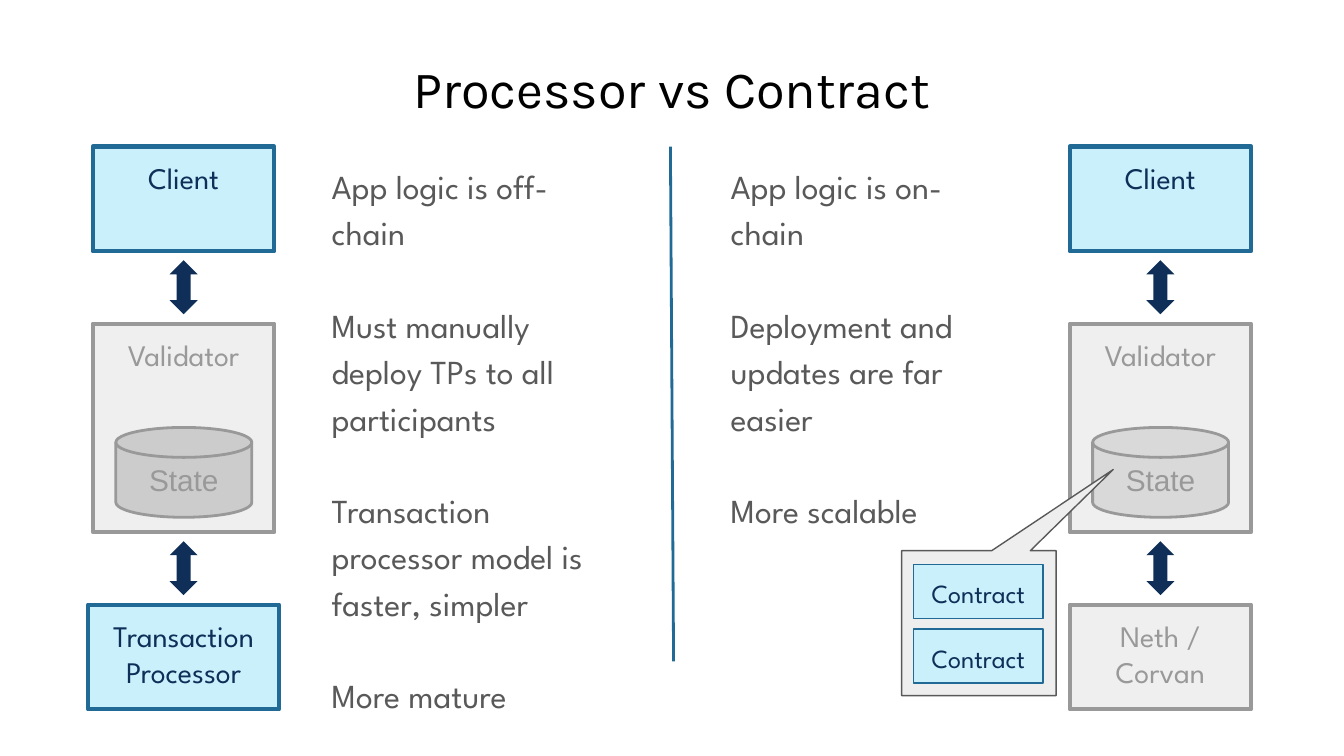
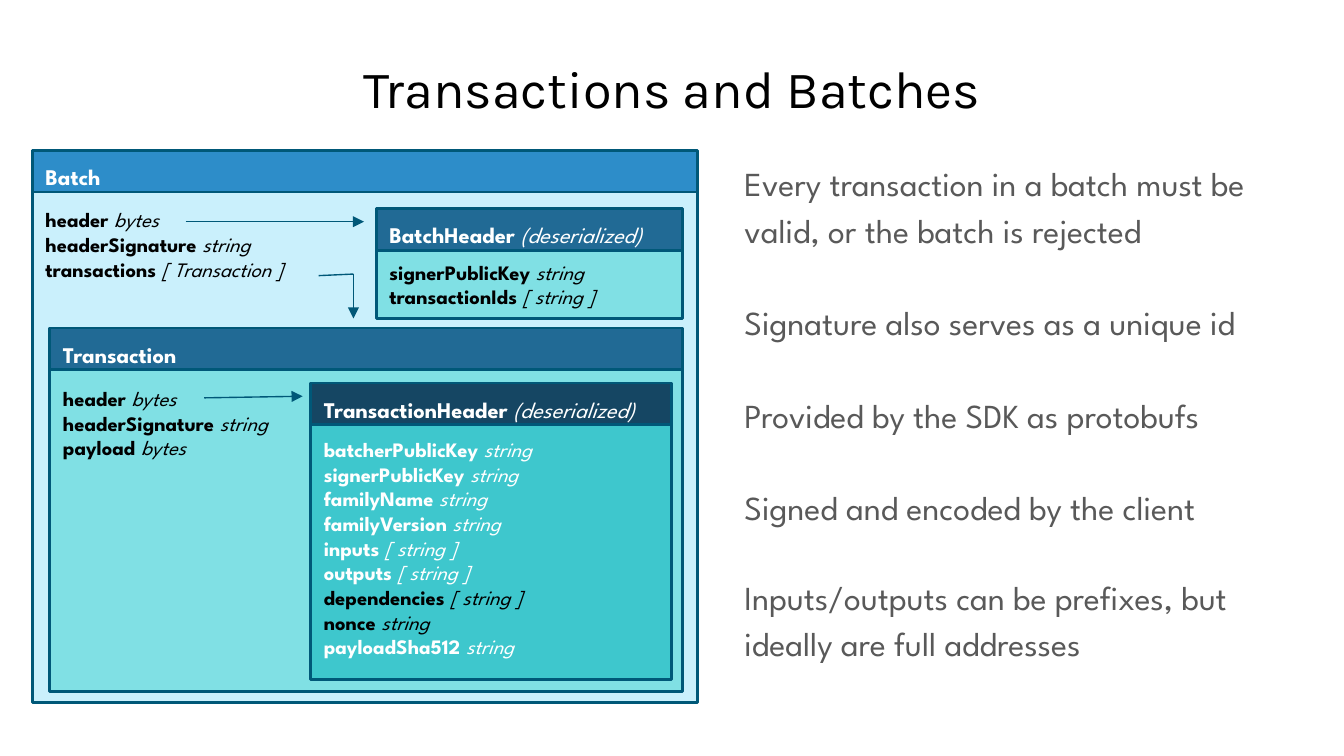
from lxml.etree import SubElement
from pptx import Presentation
from pptx.dml.color import RGBColor
from pptx.enum.shapes import MSO_CONNECTOR as Connector, MSO_SHAPE as Preset
from pptx.enum.text import MSO_ANCHOR as Anchor, PP_ALIGN as Align
from pptx.oxml.ns import qn
from pptx.util import Cm, Pt

BLACK = RGBColor(0x00, 0x00, 0x00)
WHITE = RGBColor(0xFF, 0xFF, 0xFF)
NAVY = RGBColor(0x0F, 0x2F, 0x58)
DEEP_BLUE = RGBColor(0x15, 0x46, 0x63)
STEEL = RGBColor(0x21, 0x6A, 0x95)
BRIGHT_BLUE = RGBColor(0x2D, 0x8D, 0xC9)
TEAL_LINE = RGBColor(0x00, 0x58, 0x78)
TEAL = RGBColor(0x3E, 0xC7, 0xCD)
AQUA = RGBColor(0x80, 0xE0, 0xE4)
ICE = RGBColor(0xCA, 0xF0, 0xFC)
BODY_GRAY = RGBColor(0x59, 0x59, 0x59)
EDGE_GRAY = RGBColor(0x99, 0x99, 0x99)
PALE_GRAY = RGBColor(0xEF, 0xEF, 0xEF)
CALLOUT_GRAY = RGBColor(0xEE, 0xEE, 0xEE)

TITLE_FONT = "Karla"
BODY_FONT = "League Spartan"
STATE_FONT = "Arial"

ACTIVE = dict(fill=ICE, edge=STEEL)
PASSIVE = dict(fill=PALE_GRAY, edge=EDGE_GRAY)

COMPARISON_TITLE = "Processor vs Contract"
STACKS = [
    dict(center=3.47, disk=RGBColor(0xCC, 0xCC, 0xCC),
         bottom="Transaction Processor", bottom_width=3.61, bottom_style=ACTIVE),
    dict(center=21.93, disk=RGBColor(0xD9, 0xD9, 0xD9),
         bottom="Neth / Corvan", bottom_width=3.43, bottom_style=PASSIVE),
]
COMPARISON_NOTES = [
    ((6.02, 2.77, 5.79, 10.64), [
        "App logic is off-chain",
        "Must manually deploy TPs to all participants",
        "Transaction processor model is faster, simpler",
        "More mature",
    ]),
    ((13.56, 2.77, 5.79, 8.84), [
        "App logic is on-chain",
        "Deployment and updates are far easier",
        "More scalable",
    ]),
]
CONTRACTS = ["Contract", "Contract"]

BATCH_TITLE = "Transactions and Batches"
RECORDS = [
    dict(name="Batch", note="", left=0.61, width=12.57, heading_top=2.84,
         body_top=3.2, height=10.08, heading_fill=BRIGHT_BLUE, fill=ICE,
         fields=[("header", "bytes"), ("headerSignature", "string"),
                 ("transactions", "[ Transaction ]")]),
    dict(name="BatchHeader", note="(deserialized)", left=7.11, width=5.79,
         heading_top=3.94, body_top=4.19, height=1.83, heading_fill=STEEL, fill=AQUA,
         fields=[("signerPublicKey", "string"), ("transactionIds", "[ string ]")]),
    dict(name="Transaction", note="", left=0.94, width=11.96, heading_top=6.2,
         body_top=6.58, height=6.5, heading_fill=STEEL, fill=AQUA,
         fields=[("header", "bytes"), ("headerSignature", "string"),
                 ("payload", "bytes")]),
    dict(name="TransactionHeader", note="(deserialized)", left=5.87, width=6.83,
         heading_top=7.24, body_top=7.54, height=5.31, heading_fill=DEEP_BLUE, fill=TEAL,
         fields=[("batcherPublicKey", "string"), ("signerPublicKey", "string"),
                 ("familyName", "string"), ("familyVersion", "string"),
                 ("inputs", "[ string ]"), ("outputs", "[ string ]"),
                 ("dependencies", "[ string ]"), ("nonce", "string"),
                 ("payloadSha512", "string")]),
]
HIGHLIGHTED = {"batcherPublicKey", "signerPublicKey", "familyName", "familyVersion",
               "inputs", "outputs", "payloadSha512"}
FIELD_LINKS = [
    ((3.51, 4.19), (6.88, 4.19), True),
    ((3.86, 7.52), (5.72, 7.49), True),
    ((6.68, 5.18), (6.68, 6.02), True),
    ((6.02, 5.21), (6.68, 5.18), False),
]
BATCH_NOTES = [
    ((13.82, 2.72, 10.9, 10.44), [
        "Every transaction in a batch must be valid, or the batch is rejected",
        "Signature also serves as a unique id",
        "Provided by the SDK as protobufs",
        "Signed and encoded by the client",
    ]),
    ((13.82, 10.54, 10.9, 2.18), [
        "Inputs/outputs can be prefixes, but ideally are full addresses",
    ]),
]


def write(shape, paragraphs, size, color, font=BODY_FONT, align=Align.LEFT,
          anchor=Anchor.TOP, line_spacing=None, gap=0, top_inset=0.25):
    frame = shape.text_frame
    frame.word_wrap = True
    frame.vertical_anchor = anchor
    frame.margin_left = frame.margin_right = frame.margin_bottom = Cm(0.25)
    frame.margin_top = Cm(top_inset)
    for index, content in enumerate(paragraphs):
        paragraph = frame.add_paragraph() if index else frame.paragraphs[0]
        paragraph.alignment = align
        paragraph.line_spacing = line_spacing
        paragraph.space_after = Pt(gap)
        runs = [(content, {})] if isinstance(content, str) else content
        for text, style in runs:
            run = paragraph.add_run()
            run.text = text
            run.font.name = font
            run.font.size = Pt(size)
            run.font.bold = style.get("bold", False)
            run.font.italic = style.get("italic", False)
            run.font.color.rgb = style.get("color", color)


def add_box(slide, preset, area, fill, edge=None, weight=2.25):
    shape = slide.shapes.add_shape(preset, *map(Cm, area))
    shape.shadow.inherit = False
    shape.fill.solid()
    shape.fill.fore_color.rgb = fill
    if edge is None:
        shape.line.fill.background()
    else:
        shape.line.color.rgb = edge
        shape.line.width = Pt(weight)
    return shape


def add_line(slide, start, end, color, weight, arrow=False):
    line = slide.shapes.add_connector(Connector.STRAIGHT, *map(Cm, start + end))
    line.line.color.rgb = color
    line.line.width = Pt(weight)
    if arrow:
        SubElement(line.line._get_or_add_ln(), qn("a:tailEnd"), type="triangle")
    SubElement(line._element.spPr, qn("a:effectLst"))


def add_slide(presentation, title, notes):
    slide = presentation.slides.add_slide(presentation.slide_layouts[6])
    heading = slide.shapes.add_textbox(Cm(0.86), Cm(0.81), Cm(23.67), Cm(1.6))
    write(heading, [title], size=28, color=BLACK, font=TITLE_FONT, align=Align.CENTER)
    for area, paragraphs in notes:
        box = slide.shapes.add_textbox(*map(Cm, area))
        write(box, paragraphs, size=18, color=BODY_GRAY, line_spacing=1.15, gap=24.8)
    return slide


def add_process(slide, text, area, style, size=16, weight=2.25):
    shape = add_box(slide, Preset.FLOWCHART_PROCESS, area, weight=weight, **style)
    color = NAVY if style is ACTIVE else EDGE_GRAY
    write(shape, [text], size=size, color=color, align=Align.CENTER)


def add_stack(slide, center, disk, bottom, bottom_width, bottom_style):
    rows = [("Client", 2.77, 3.43, 1.98, ACTIVE),
            ("Validator", 6.12, 3.43, 3.94, PASSIVE),
            (bottom, 11.43, bottom_width, 1.98, bottom_style)]
    for text, top, width, height, style in rows:
        add_process(slide, text, (center - width / 2, top, width, height), style)
    state = add_box(slide, Preset.FLOWCHART_MAGNETIC_DISK,
                    (center - 1.28, 8.08, 2.57, 1.7), disk, EDGE_GRAY, 1.5)
    write(state, ["State"], size=16, color=EDGE_GRAY, font=STATE_FONT,
          align=Align.CENTER, anchor=Anchor.MIDDLE)
    for upper, lower in zip(rows, rows[1:]):
        middle = (upper[1] + upper[3] + lower[1]) / 2
        arrow = add_box(slide, Preset.LEFT_RIGHT_ARROW,
                        (center - 0.51, middle - 0.27, 1.02, 0.53), NAVY)
        arrow.rotation = 90


def add_record(slide, name, note, left, width, heading_top, body_top, height,
               heading_fill, fill, fields):
    body = add_box(slide, Preset.RECTANGLE, (left, body_top, width, height),
                   fill, TEAL_LINE, 1.5)
    lines = []
    for field, kind in fields:
        color = WHITE if field in HIGHLIGHTED and fill == TEAL else BLACK
        lines.append([(field + " ", dict(bold=True, color=color)),
                      (kind, dict(italic=True, color=color))])
    write(body, lines, size=11, color=BLACK, top_inset=0.72)
    heading = add_box(slide, Preset.RECTANGLE, (left, heading_top, width, 0.79),
                      heading_fill, TEAL_LINE, 1.5)
    label = [(name, dict(bold=True))]
    if note:
        label.append((" " + note, dict(italic=True)))
    write(heading, [label], size=12, color=WHITE)


def build_comparison(presentation):
    slide = add_slide(presentation, COMPARISON_TITLE, COMPARISON_NOTES)
    for stack in STACKS:
        add_stack(slide, **stack)
    callout = add_box(slide, Preset.RECTANGULAR_CALLOUT, (17.04, 10.41, 2.92, 2.74),
                      CALLOUT_GRAY, BODY_GRAY, 0.75)
    callout.adjustments[0] = 0.87
    callout.adjustments[1] = -1.06
    for index, contract in enumerate(CONTRACTS):
        add_process(slide, contract, (17.27, 10.67 + index * 1.22, 2.44, 1.02),
                    ACTIVE, size=14, weight=0.75)
    add_line(slide, (12.67, 2.77), (12.73, 12.5), STEEL, 1.5)


def build_batches(presentation):
    slide = add_slide(presentation, BATCH_TITLE, BATCH_NOTES)
    for record in RECORDS:
        add_record(slide, **record)
    for start, end, arrow in FIELD_LINKS:
        add_line(slide, start, end, TEAL_LINE, 0.75, arrow)


def main():
    presentation = Presentation()
    presentation.slide_width = Cm(25.4)
    presentation.slide_height = Cm(14.29)
    build_comparison(presentation)
    build_batches(presentation)
    presentation.save("out.pptx")


if __name__ == "__main__":
    main()
